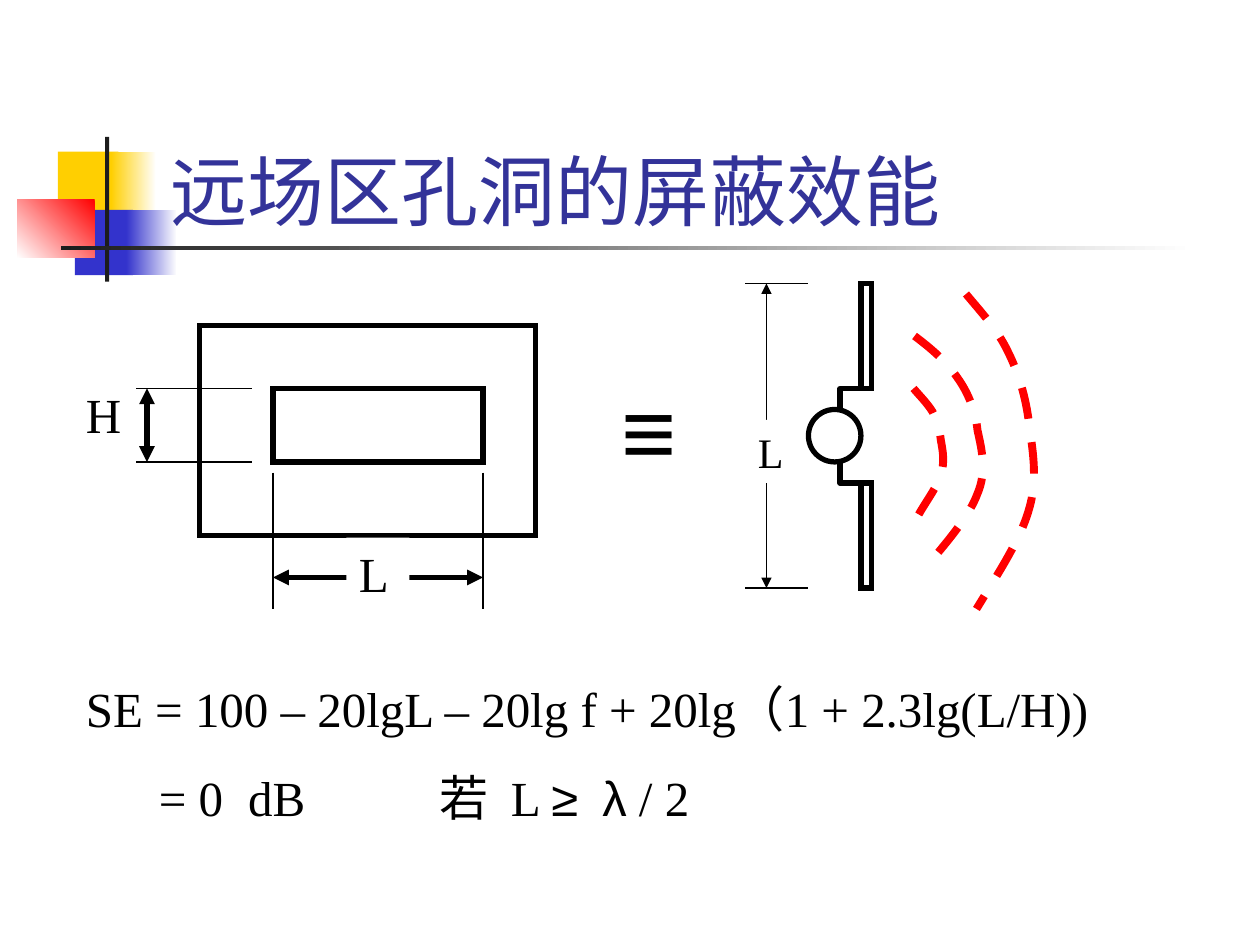
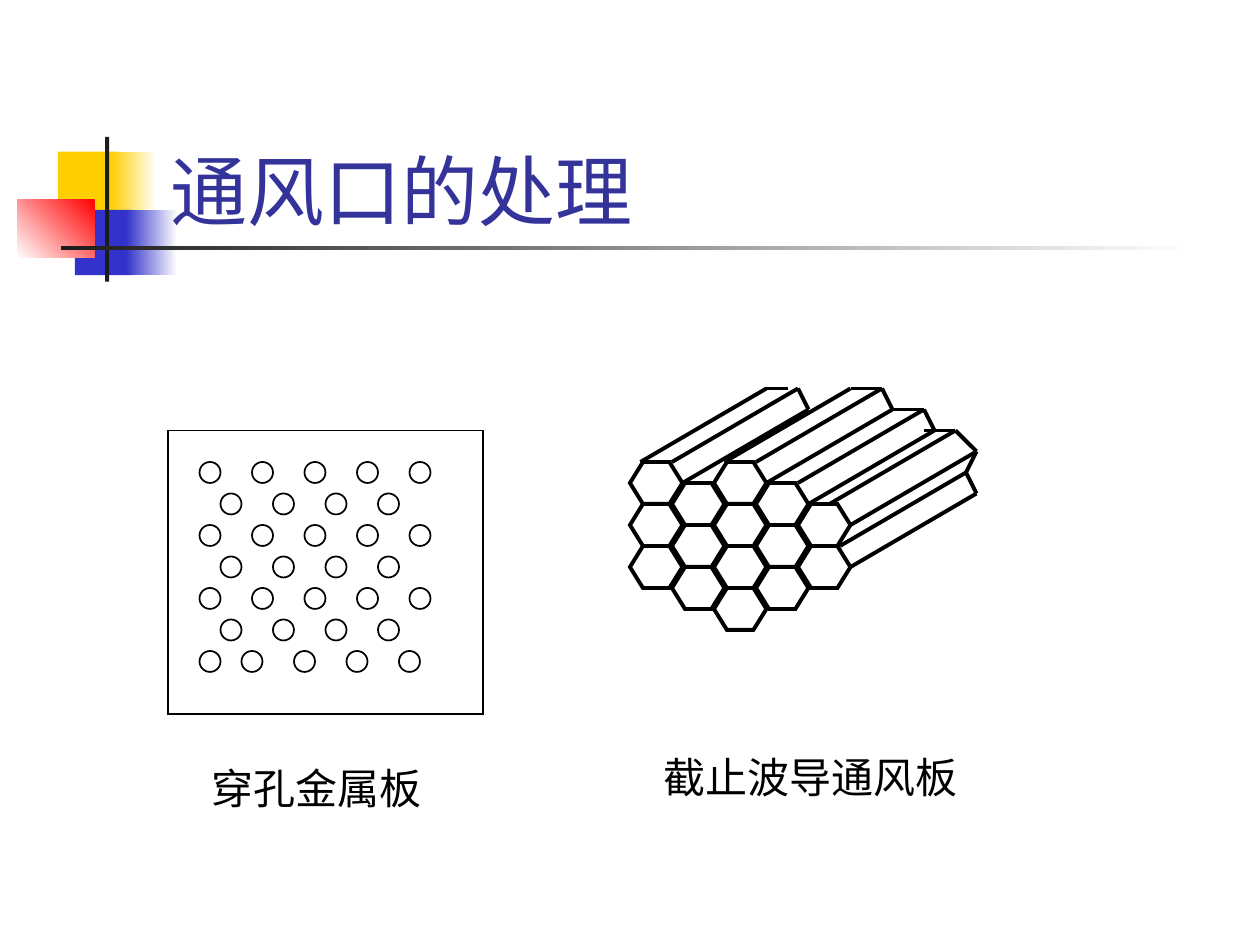
"""Builds two slides on the shielding of apertures and ventilation openings."""
from dataclasses import dataclass
from itertools import pairwise

from lxml import etree
from pptx import Presentation
from pptx import util as u
from pptx.dml.color import RGBColor
from pptx.enum import dml, shapes, text
from pptx.oxml.ns import qn


@dataclass(frozen=True)
class Theme:
    """Colours, fonts, type sizes and line widths."""
    ink: str = "000000"
    paper: str = "FFFFFF"
    title: str = "333399"
    wave: str = "FF0000"
    yellow: str = "FFCF01"
    blue: str = "3333CC"
    dark: str = "1C1C1C"
    serif: str = "Times New Roman"
    sans: str = "Arial"
    heading: str = "Cabin"
    title_size: float = 44
    symbol_size: float = 54
    body_size: float = 28
    caption_size: float = 24
    hair: float = 0.75
    thin: float = 1
    medium: float = 2.25
    thick: float = 3
    dashed: float = 4.5


THEME = Theme()
GRID = u.Cm(2.54) / 12
RECTANGLE = shapes.MSO_SHAPE.RECTANGLE
OVAL = shapes.MSO_SHAPE.OVAL
HEXAGON = shapes.MSO_SHAPE.HEXAGON

TITLE_AREA = (3.18, 1.7, 21.64, 3.18)
BAND = [
    ((1.17, 3.06, 1.22, 1.32), [THEME.yellow], 0),
    ((2.24, 3.06, 0.91, 1.32), [THEME.paper, THEME.yellow], 180),
    ((1.51, 4.23, 1.17, 1.32), [THEME.blue], 0),
    ((2.55, 4.23, 1.02, 1.32), [THEME.paper, THEME.blue], 180),
    ((0.35, 4.02, 1.56, 1.18), [THEME.wave, THEME.paper], 225),
    ((2.12, 2.76, 0.08, 2.92), [THEME.dark], 0),
    ((1.23, 4.95, 22.86, 0.09), [THEME.paper, THEME.dark], 180),
]

APERTURE_TITLE = "远场区孔洞的屏蔽效能"
PANEL_OUTLINES = [(19, 31, 32, 20), (26, 37, 20, 7)]
ANTENNA_ARMS = [(82, 27, 1, 10), (82, 46, 1, 10)]
ANTENNA_SOURCE = (77, 39, 5, 5)
ANTENNA_LEADS = [
    [(82, 37), (80, 37), (80, 39)],
    [(82, 46), (80, 46), (80, 44)],
]
EXTENSION_LINES = [
    ((13, 37), (24, 37)), ((13, 44), (24, 44)),
    ((71, 27), (77, 27)), ((71, 56), (77, 56)),
    ((26, 45), (26, 58)), ((46, 45), (46, 58)),
]
DIMENSION_ARROWS = [
    ((14, 37), (14, 44), THEME.thick),
    ((73, 27), (73, 56), THEME.hair),
    ((26, 55), (46, 55), THEME.thick),
]
WAVES = [
    [(87.1, 32), (88.7, 33.2), (90.1, 34.4), (91.2, 36), (92.2, 37.4),
     (92.9, 39.1), (93.1, 41), (93.5, 42.8), (94, 44.9), (93.1, 47),
     (92.3, 49.2), (90.2, 51.6), (88.2, 54)],
    [(87, 37), (87.6, 37.7), (88.3, 38.4), (88.8, 39.2), (89.2, 40),
     (89.5, 40.9), (89.6, 41.9), (89.8, 43), (90, 44), (89.6, 45.2),
     (89.3, 46.3), (88.3, 47.6), (87.5, 49)],
    [(92, 28), (93.5, 29.8), (95, 31.4), (96, 33.5), (97, 35.5),
     (97.7, 37.8), (98, 40.3), (98.3, 42.7), (98.9, 45.5), (98, 48.5),
     (97.2, 51.4), (95, 54.7), (93, 58)],
]
APERTURE_LABELS = [
    ("≡", (58, 34.8, 10, 12), THEME.symbol_size, THEME.sans, None),
    ("L", (71, 40, 4, 6), THEME.caption_size, THEME.serif, THEME.paper),
    ("L", (33, 51.2, 6, 6.84), THEME.body_size, THEME.serif, THEME.paper),
    ("H", (7, 36, 6, 6.84), THEME.body_size, THEME.serif, None),
]
FORMULA_AREA = (7, 64, 102, 15.36)
FORMULA_TABS = [1.47, 3.27, 7.12, 8.57, 10.41]
FORMULA = [
    [("SE = 100 – 20lgL – 20lg f + 20lg（1 + 2.3lg(L/H))", THEME.serif)],
    [("\t= 0\tdB\t若\tL ", THEME.serif), ("≥\tλ", THEME.sans), (" / 2", THEME.serif)],
]

VENT_TITLE = "通风口的处理"
PLATE = (16, 41, 30, 27)
HOLE_TOP, HOLE_STEP, HOLE_SIZE = 44, 3, 2
WIDE_ROW, NARROW_ROW = range(19, 40, 5), range(21, 37, 5)
HOLE_ROWS = [WIDE_ROW, NARROW_ROW] * 3 + [[19, *range(23, 39, 5)]]
CELL_COLUMNS = [(44, 3), (46, 3), (44, 4), (46, 3), (48, 2)]
CELL_LEFT, CELL_PITCH, CELL_WIDTH, CELL_HEIGHT = 60, 4, 5, 4
TUBE_DEPTH = (12, -7)
TUBE_EDGES = [(61, 44), (64, 44), (65, 46), (69, 44), (72, 44), (73, 46),
              (76, 46), (77, 48), (79, 48), (81, 50), (80, 52), (81, 54)]
TUBE_ENDS = [
    [(73, 37), (75, 37)],
    [(76, 37), (77, 39)],
    [(81, 37), (84, 37), (85, 39), (88, 39), (89, 41)],
    [(88, 41), (91, 41), (93, 43), (92, 45), (93, 47)],
]
VENT_LABELS = [
    ("穿孔金属板", (19, 72, 30, 6), THEME.caption_size, THEME.serif, None),
    ("截止波导通风板", (62, 71, 37, 6), THEME.caption_size, THEME.serif, None),
]


def grid(*values):
    """Turn drawing grid units into lengths."""
    return [u.Emu(round(value * GRID)) for value in values]


def rgb(colour):
    """Turn a hex colour into a colour value."""
    return RGBColor.from_string(colour)


def set_line(line, width, colour=THEME.ink):
    """Give a line its colour and width."""
    line.color.rgb = rgb(colour)
    line.width = u.Pt(width)


def set_font(span, size, name, colour=THEME.ink):
    """Give a run its size, typeface and colour."""
    span.font.size = u.Pt(size)
    span.font.name = name
    span.font.color.rgb = rgb(colour)


def add_outline(page, kind, area, width):
    """Draw an unfilled preset shape with sharp corners on the grid."""
    shape = page.shapes.add_shape(kind, *grid(*area))
    shape.shadow.inherit = False
    shape.fill.background()
    set_line(shape.line, width)
    outline = shape.element.spPr.find(qn("a:ln"))
    etree.SubElement(outline, qn("a:miter"), lim="800000")
    return shape


def add_line(page, start, end, width, arrows=False):
    """Draw a straight line, with arrowheads at both ends if asked."""
    line = page.shapes.add_connector(shapes.MSO_CONNECTOR.STRAIGHT, *grid(*start, *end))
    set_line(line.line, width)
    properties = line.element.spPr
    if arrows:
        for end_name in ("a:headEnd", "a:tailEnd"):
            etree.SubElement(properties.find(qn("a:ln")), qn(end_name), type="triangle")
    etree.SubElement(properties, qn("a:effectLst"))


def add_path(page, points, width, colour=THEME.ink):
    """Draw an open outline through grid points."""
    start, *rest = [tuple(grid(*point)) for point in points]
    builder = page.shapes.build_freeform(*start)
    builder.add_line_segments(rest, close=False)
    path = builder.convert_to_shape()
    path.shadow.inherit = False
    path.fill.background()
    set_line(path.line, width, colour)
    return path


def add_wave(page, controls):
    """Draw a dashed wave, three control points to each cubic curve."""
    wave = add_path(page, controls, THEME.dashed, THEME.wave)
    wave.line.dash_style = dml.MSO_LINE.DASH
    segments = list(wave.element.iter(qn("a:lnTo")))
    outline = segments[0].getparent()
    for first in range(0, len(segments), 3):
        curve = etree.SubElement(outline, qn("a:cubicBezTo"))
        for segment in segments[first:first + 3]:
            curve.append(segment[0])
            outline.remove(segment)


def add_label(page, words, area, size, font, fill):
    """Add a one-line label, on a filled ground if asked."""
    box = page.shapes.add_textbox(*grid(*area))
    box.text_frame.word_wrap = True
    box.text_frame.text = words
    set_font(box.text_frame.paragraphs[0].runs[0], size, font)
    if fill:
        box.fill.solid()
        box.fill.fore_color.rgb = rgb(fill)


def add_formula(page):
    """Write the shielding formula with its columns on tab stops."""
    frame = page.shapes.add_textbox(*grid(*FORMULA_AREA)).text_frame
    frame.word_wrap = True
    for index, spans in enumerate(FORMULA):
        para = frame.add_paragraph() if index else frame.paragraphs[0]
        if index:
            para.space_before = u.Pt(17.5)
            stops = etree.SubElement(para._p.get_or_add_pPr(), qn("a:tabLst"))
            for stop in FORMULA_TABS:
                etree.SubElement(stops, qn("a:tab"), pos=str(u.Cm(stop)), algn="l")
        for words, font in spans:
            span = para.add_run()
            span.text = words
            set_font(span, THEME.body_size, font)


def add_band(page, layout):
    """Draw the decorative band and move it to the shared layout."""
    for area, colours, angle in BAND:
        block = page.shapes.add_shape(RECTANGLE, *map(u.Cm, area))
        block.shadow.inherit = False
        block.line.fill.background()
        if len(colours) == 1:
            block.fill.solid()
            block.fill.fore_color.rgb = rgb(colours[0])
        else:
            block.fill.gradient()
            block.fill.gradient_angle = angle
            for position, (stop, colour) in enumerate(zip(block.fill.gradient_stops, colours)):
                stop.position = position
                stop.color.rgb = rgb(colour)
        layout.shapes.element.append(block.element)


def add_page(deck, layout, words):
    """Add a slide and format its title."""
    page = deck.slides.add_slide(layout)
    title = page.shapes.title
    title.left, title.top, title.width, title.height = map(u.Cm, TITLE_AREA)
    frame = title.text_frame
    frame.text = words
    frame.vertical_anchor = text.MSO_ANCHOR.BOTTOM
    frame.paragraphs[0].alignment = text.PP_ALIGN.LEFT
    set_font(frame.paragraphs[0].runs[0], THEME.title_size, THEME.heading, THEME.title)
    return page


def draw_aperture(page):
    """Draw the slotted panel, its equivalent antenna and the formula."""
    for area in PANEL_OUTLINES + ANTENNA_ARMS:
        add_outline(page, RECTANGLE, area, THEME.thick)
    add_outline(page, OVAL, ANTENNA_SOURCE, THEME.thick)
    for lead in ANTENNA_LEADS:
        add_path(page, lead, THEME.thick)
    for controls in WAVES:
        add_wave(page, controls)
    for start, end in EXTENSION_LINES:
        add_line(page, start, end, THEME.hair)
    for start, end, width in DIMENSION_ARROWS:
        add_line(page, start, end, width, arrows=True)
    for label in APERTURE_LABELS:
        add_label(page, *label)
    add_formula(page)


def draw_vents(page):
    """Draw the perforated plate and the honeycomb panel."""
    add_outline(page, RECTANGLE, PLATE, THEME.thin)
    for row, lefts in enumerate(HOLE_ROWS):
        for left in lefts:
            hole = (left, HOLE_TOP + row * HOLE_STEP, HOLE_SIZE, HOLE_SIZE)
            add_outline(page, OVAL, hole, THEME.thin)
    for column, (top, count) in enumerate(CELL_COLUMNS):
        for row in range(count):
            area = (CELL_LEFT + column * CELL_PITCH, top + row * CELL_HEIGHT,
                    CELL_WIDTH, CELL_HEIGHT)
            cell = add_outline(page, HEXAGON, area, THEME.medium)
            cell.adjustments[0] = 0.31
    for x, y in TUBE_EDGES:
        add_line(page, (x, y), (x + TUBE_DEPTH[0], y + TUBE_DEPTH[1]), THEME.medium)
    for corners in TUBE_ENDS:
        for start, end in pairwise(corners):
            add_line(page, start, end, THEME.medium)
    for label in VENT_LABELS:
        add_label(page, *label)


def main():
    """Build and save the deck."""
    deck = Presentation()
    deck.slide_width, deck.slide_height = u.Cm(25.4), u.Cm(19.05)
    layout = deck.slide_layouts[5]
    aperture = add_page(deck, layout, APERTURE_TITLE)
    add_band(aperture, layout)
    draw_aperture(aperture)
    draw_vents(add_page(deck, layout, VENT_TITLE))
    deck.save("out.pptx")


if __name__ == "__main__":
    main()
